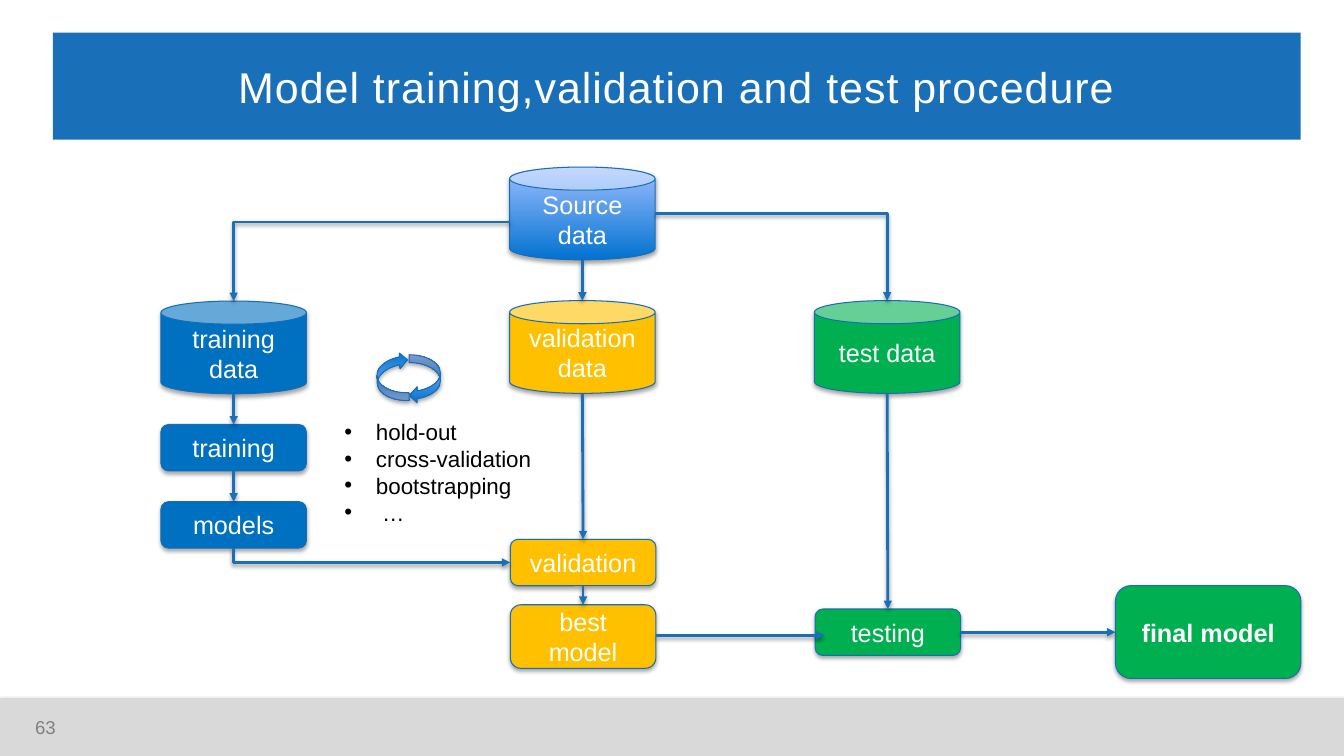
from lxml import etree
from pptx import Presentation
from pptx.dml.color import RGBColor
from pptx.enum.shapes import MSO_CONNECTOR, MSO_SHAPE
from pptx.enum.text import MSO_ANCHOR, PP_ALIGN
from pptx.oxml import parse_xml
from pptx.oxml.ns import nsdecls, qn
from pptx.util import Pt

RECT, ROUNDED, CAN = MSO_SHAPE.RECTANGLE, MSO_SHAPE.ROUNDED_RECTANGLE, MSO_SHAPE.CAN
LOOP = MSO_SHAPE.CURVED_LEFT_ARROW
STRAIGHT, ELBOW = MSO_CONNECTOR.STRAIGHT, MSO_CONNECTOR.ELBOW
LEFT, CENTER = PP_ALIGN.LEFT, PP_ALIGN.CENTER
MIDDLE = MSO_ANCHOR.MIDDLE

COLORS = {
    "white": "FFFFFF", "black": "000000", "gray": "808080", "band": "D9D9D9",
    "title": "1A70B8", "outline": "166EB8", "blue": "0070C0",
    "yellow": "FFC000", "green": "00B050", "deep": "0272D0", "pale": "9DBEFF",
}
RGB = {name: RGBColor.from_string(value) for name, value in COLORS.items()}

deck = Presentation()
deck.slide_width, deck.slide_height = Pt(960), Pt(540)
page = deck.slides.add_slide(deck.slide_layouts[6])


def write(box, text, size=18, color="white", align=CENTER, bold=False,
          spacing=0, bullet=False, margins=None):
    """Put one paragraph per line of text into a shape or text box."""
    frame = box.text_frame
    frame.word_wrap = True
    frame.vertical_anchor = MIDDLE
    if margins is not None:
        frame.margin_left = frame.margin_right = Pt(margins)
        frame.margin_top = frame.margin_bottom = Pt(margins)
    for index, line in enumerate(text.split("\n")):
        para = frame.paragraphs[0] if index == 0 else frame.add_paragraph()
        para.alignment = align
        if bullet:
            properties = para._p.get_or_add_pPr()
            properties.set("marL", str(Pt(22.5)))
            properties.set("indent", str(-Pt(22.5)))
            etree.SubElement(properties, qn("a:buFont")).set("typeface", "Arial")
            etree.SubElement(properties, qn("a:buChar")).set("char", "•")
        span = para.add_run()
        span.text = line
        span.font.name, span.font.size, span.font.bold = "Arial", Pt(size), bold
        span.font.color.rgb = RGB[color]
        if spacing:
            span._r.get_or_add_rPr().set("spc", str(round(spacing * 100)))


def style(shape, fill=None, line="outline", width=0.75, shadow=35):
    """Set fill, outline and a soft shadow below; shadow is its opacity in percent."""
    if fill == "gradient":
        shape.fill.gradient()
        shape.fill.gradient_angle = 90
        for stop, name in zip(shape.fill.gradient_stops, ("deep", "pale")):
            stop.color.rgb = RGB[name]
    elif fill:
        shape.fill.solid()
        shape.fill.fore_color.rgb = RGB[fill]
    shape.line.color.rgb = RGB[line]
    shape.line.width = Pt(width)
    shape._element.spPr.append(parse_xml(
        f'<a:effectLst {nsdecls("a")}><a:outerShdw blurRad="{Pt(3.1)}" dist="{Pt(1.8)}" '
        'dir="5400000" rotWithShape="0"><a:srgbClr val="000000">'
        f'<a:alpha val="{shadow * 1000}"/></a:srgbClr></a:outerShdw></a:effectLst>'))


# Footer band, title bar and page number
band = page.shapes.add_shape(RECT, Pt(0), Pt(499), Pt(960), Pt(41))
style(band, "band", "band")

title = page.shapes.add_shape(RECT, Pt(37.7), Pt(23.4), Pt(891.3), Pt(76.3))
title.shadow.inherit = False
title.fill.solid()
title.fill.fore_color.rgb = RGB["title"]
title.line.fill.background()
write(title, "Model training,validation and test procedure", size=30.7, spacing=0.7)

number = page.shapes.add_textbox(Pt(25), Pt(504.5), Pt(42.5), Pt(29))
write(number, "63", size=13.3, color="gray", align=LEFT, margins=0)

# Flow nodes, centred on one axis per data set
TRAIN, VALID, TEST, FINAL = 166.9, 416, 633.7, 863
NODE, CAN_HEIGHT, BAR = 104, 66.3, 33.2
nodes = [
    ("Source data", CAN, VALID, 119.3, NODE, CAN_HEIGHT, "gradient"),
    ("training data", CAN, TRAIN, 215, NODE, CAN_HEIGHT, "blue"),
    ("validation data", CAN, VALID, 214.7, NODE, CAN_HEIGHT, "yellow"),
    ("test data", CAN, TEST, 214.7, NODE, CAN_HEIGHT, "green"),
    ("training", ROUNDED, TRAIN, 303.2, NODE, BAR, "blue"),
    ("models", ROUNDED, TRAIN, 358.3, NODE, BAR, "blue"),
    ("validation", ROUNDED, VALID + 0.5, 385.2, NODE, BAR, "yellow"),
    ("best model", ROUNDED, VALID + 0.5, 432, NODE, 45.4, "yellow"),
    ("testing", ROUNDED, TEST + 0.5, 435, NODE, BAR, "green"),
    ("final model", ROUNDED, FINAL, 418.3, 132.4, CAN_HEIGHT, "green"),
]
for text, kind, center, top, width, height, fill in nodes:
    node = page.shapes.add_shape(kind, Pt(center - width / 2), Pt(top), Pt(width), Pt(height))
    style(node, fill)
    write(node, text, bold=text == "final model")

# Arrows; an elbow runs sideways first, so the one into validation points at its start
arrows = [
    (ELBOW, 364, 158.6, TRAIN, 215, "tailEnd"),
    (ELBOW, 468, 152.3, TEST, 214.7, "tailEnd"),
    (ELBOW, 364.5, 401.8, TRAIN, 391.5, "headEnd"),
    (STRAIGHT, VALID, 185.6, VALID, 214.7, "tailEnd"),
    (STRAIGHT, VALID, 281, VALID + 0.5, 385.2, "tailEnd"),
    (STRAIGHT, VALID + 0.5, 418.4, VALID + 0.5, 432, "tailEnd"),
    (STRAIGHT, TRAIN, 281.3, TRAIN, 303.2, "tailEnd"),
    (STRAIGHT, TRAIN, 336.4, TRAIN, 358.3, "tailEnd"),
    (STRAIGHT, TEST, 281, TEST + 0.5, 435, "tailEnd"),
    (STRAIGHT, 468.5, 453.8, 589, 453.8, "tailEnd"),
    (STRAIGHT, 686.2, 451.6, 796.8, 451.6, "tailEnd"),
]
for kind, x1, y1, x2, y2, tip in arrows:
    arrow = page.shapes.add_connector(kind, Pt(x1), Pt(y1), Pt(x2), Pt(y2))
    if kind == ELBOW:
        arrow._element.spPr.find(qn("a:prstGeom")).set("prst", "bentConnector2")
    style(arrow, line="title", width=2, shadow=38)
    etree.SubElement(arrow.line._get_or_add_ln(), qn(f"a:{tip}")).set("type", "triangle")

# Resampling loop and its methods
for left, top, turn in [(292.3, 253.4, 0), (269.3, 252, 177.3)]:
    half = page.shapes.add_shape(LOOP, Pt(left), Pt(top), Pt(22.3), Pt(34.6))
    half.rotation = turn
    style(half, "gradient")

methods = page.shapes.add_textbox(Pt(239), Pt(294.5), Pt(149), Pt(85))
write(methods, "hold-out\ncross-validation\nbootstrapping\n …", size=16, color="black",
      align=LEFT, bullet=True)

deck.save("out.pptx")
